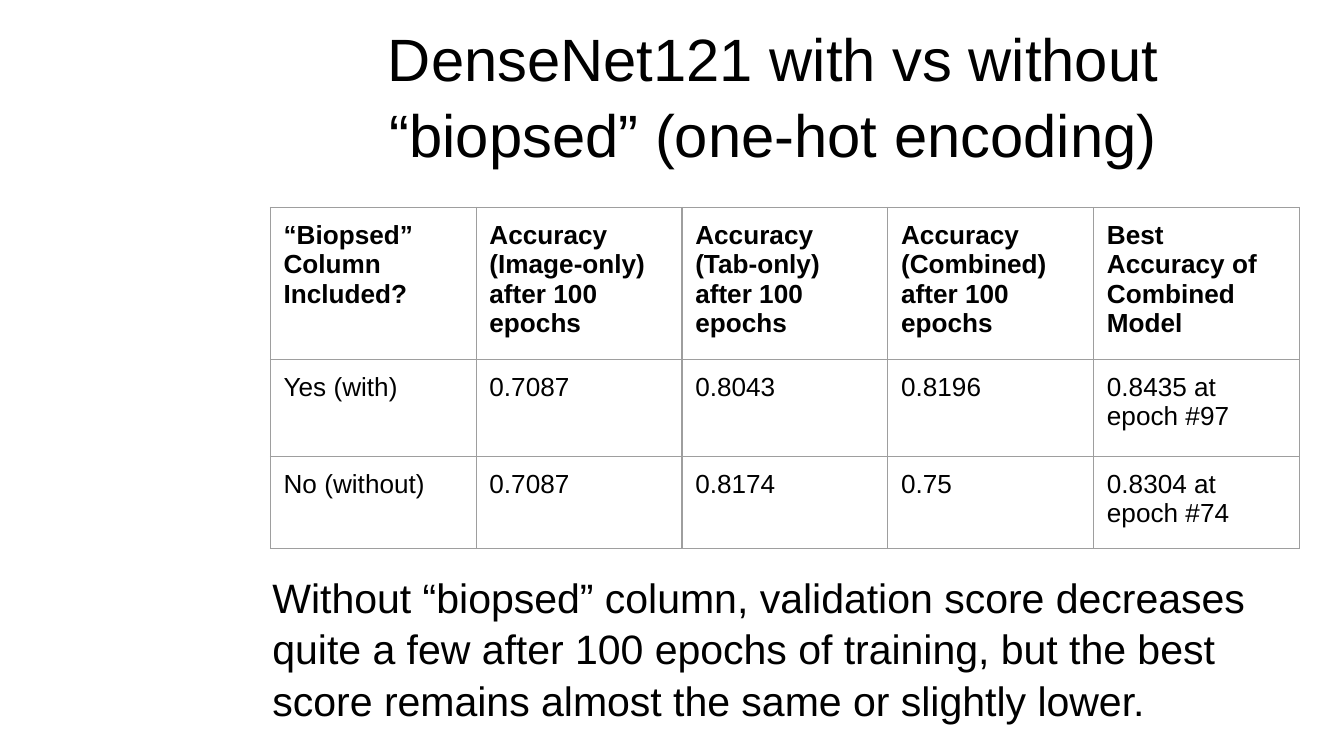
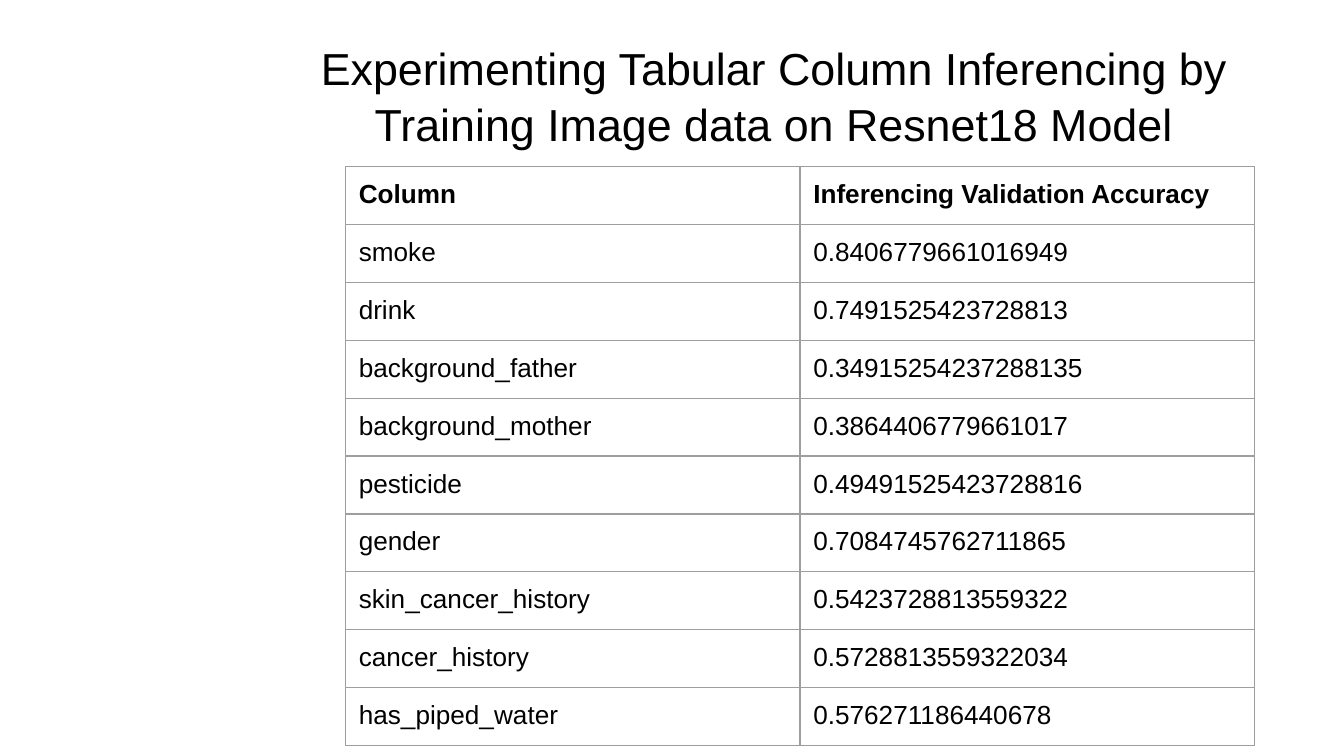
from lxml.etree import SubElement as Sub
from pptx import Presentation
from pptx.dml.color import RGBColor as RGB
from pptx.enum.text import MSO_ANCHOR as ANCHOR, PP_ALIGN as ALIGN
from pptx.oxml.ns import qn
from pptx.util import Cm, Pt

# Theme: colours, type sizes and formats used on both slides
THEME = {
    "font": "Arial",
    "text": RGB(0x00, 0x00, 0x00),
    "back": RGB(0xFF, 0xFF, 0xFF),
    "border": "9E9E9E",
    "border_width": Pt(0.75),
    "sizes": {"title": 32, "long_title": 24, "body": 22, "cell": 14},
    "frame": {
        "word_wrap": True,
        "margin_left": Cm(0.25), "margin_right": Cm(0.25),
        "margin_top": Cm(0.13), "margin_bottom": Cm(0.13),
    },
    "cell": {
        "margin_left": Cm(0.25), "margin_right": Cm(0.25),
        "margin_top": Cm(0.25), "margin_bottom": Cm(0.25),
        "vertical_anchor": ANCHOR.TOP,
    },
    "title": {"alignment": ALIGN.CENTER, "line_spacing": 1.05},
    "body": {"alignment": ALIGN.LEFT, "line_spacing": 1.05, "space_before": Pt(3.6)},
}
TITLE_BOX = (5.11, 0.58, 19.02, 2.39)
NOTE_BOX = (4.9, 10.64, 19.91, 3.4)

SLIDES = [
    {
        "title": "DenseNet121 with vs without “biopsed” (one-hot encoding)",
        "title_size": "title",
        "origin": (5.11, 3.92),
        "col_width": 3.89,
        "row_heights": [2.87, 1.83, 1.75],
        "rows": [
            ("“Biopsed” Column Included?", "Accuracy (Image-only) after 100 epochs",
             "Accuracy (Tab-only) after 100 epochs",
             "Accuracy (Combined) after 100 epochs",
             "Best Accuracy of Combined Model"),
            ("Yes (with)", "0.7087", "0.8043", "0.8196", "0.8435 at epoch #97"),
            ("No (without)", "0.7087", "0.8174", "0.75", "0.8304 at epoch #74"),
        ],
        "note": "Without “biopsed” column, validation score decreases quite a few "
                "after 100 epochs of training, but the best score remains almost "
                "the same or slightly lower.",
    },
    {
        "title": "Experimenting Tabular Column Inferencing by "
                 "Training Image data on Resnet18 Model",
        "title_size": "long_title",
        "origin": (6.53, 3.15),
        "col_width": 8.59,
        "row_heights": [1.09] * 9 + [0.99],
        "rows": [
            ("Column", "Inferencing Validation Accuracy"),
            ("smoke", "0.8406779661016949"),
            ("drink", "0.7491525423728813"),
            ("background_father", "0.34915254237288135"),
            ("background_mother", "0.3864406779661017"),
            ("pesticide", "0.49491525423728816"),
            ("gender", "0.7084745762711865"),
            ("skin_cancer_history", "0.5423728813559322"),
            ("cancer_history", "0.5728813559322034"),
            ("has_piped_water", "0.576271186440678"),
        ],
        "note": None,
    },
]


def write(p, text, size, bold=False):
    r = p.add_run()
    r.text = text
    font = {"name": THEME["font"], "size": Pt(THEME["sizes"][size]), "bold": bold}
    for key, value in font.items():
        setattr(r.font, key, value)
    r.font.color.rgb = THEME["text"]


def add_text(s, box, text, size, style, anchor):
    tf = s.shapes.add_textbox(*map(Cm, box)).text_frame
    for key, value in THEME["frame"].items():
        setattr(tf, key, value)
    tf.vertical_anchor = anchor
    p = tf.paragraphs[0]
    for key, value in THEME[style].items():
        setattr(p, key, value)
    write(p, text, size)


prs = Presentation()
prs.slide_width, prs.slide_height = Cm(25.4), Cm(14.29)

for item in SLIDES:
    s = prs.slides.add_slide(prs.slide_layouts[6])
    s.background.fill.solid()
    s.background.fill.fore_color.rgb = THEME["back"]

    # Title and closing note
    add_text(s, TITLE_BOX, item["title"], item["title_size"], "title", ANCHOR.MIDDLE)
    if item["note"]:
        add_text(s, NOTE_BOX, item["note"], "body", "body", ANCHOR.TOP)

    # Results table
    rows, heights = item["rows"], item["row_heights"]
    n_cols = len(rows[0])
    size = (n_cols * item["col_width"], sum(heights))
    table = s.shapes.add_table(
        len(rows), n_cols, *map(Cm, item["origin"] + size)).table
    table.first_row = table.horz_banding = False
    for col in table.columns:
        col.width = Cm(item["col_width"])
    for i, (values, height) in enumerate(zip(rows, heights)):
        table.rows[i].height = Cm(height)
        for j, value in enumerate(values):
            cell = table.cell(i, j)
            for key, setting in THEME["cell"].items():
                setattr(cell, key, setting)
            write(cell.text_frame.paragraphs[0], value, "cell", bold=i == 0)
            # Borders come before the fill in the cell properties
            tc_pr = cell._tc.get_or_add_tcPr()
            for side in ("a:lnL", "a:lnR", "a:lnT", "a:lnB"):
                ln = Sub(tc_pr, qn(side), w=str(THEME["border_width"]))
                Sub(Sub(ln, qn("a:solidFill")), qn("a:srgbClr"), val=THEME["border"])
            cell.fill.background()

prs.save("out.pptx")
